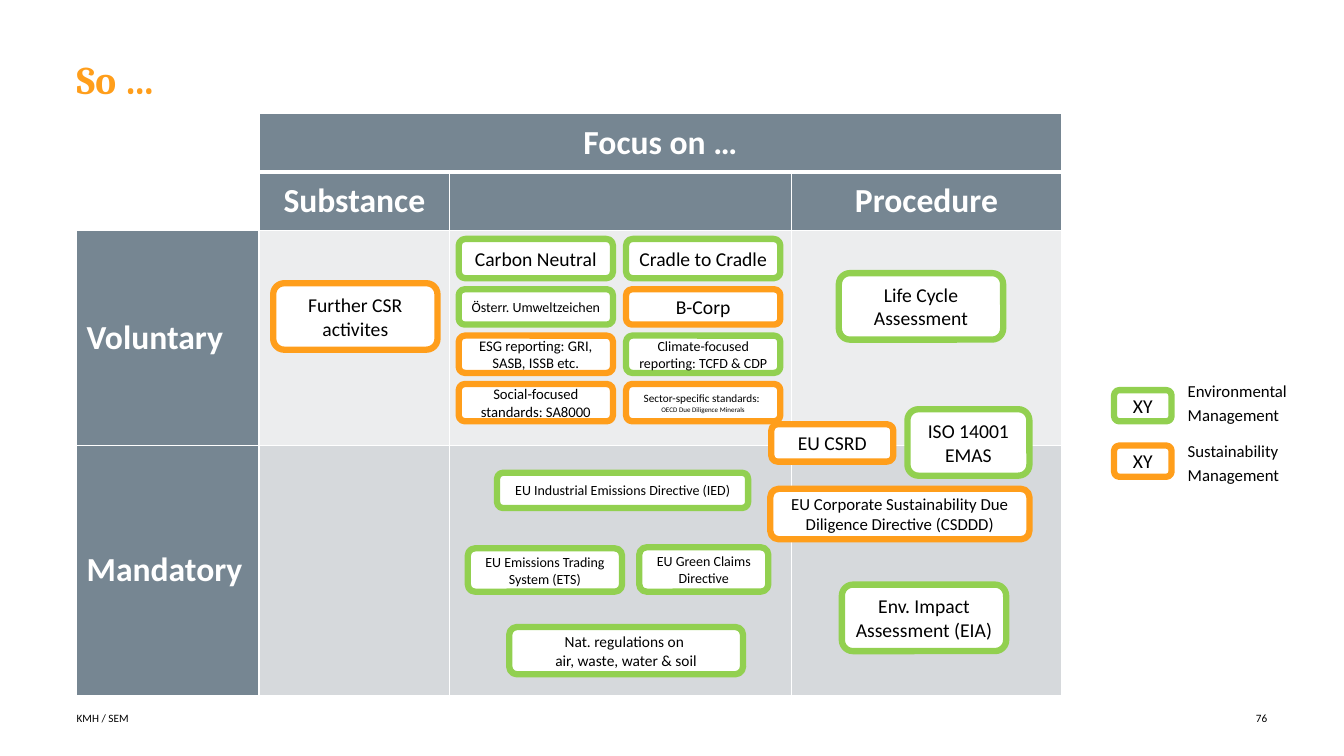
"""Build a slide sorting sustainability schemes by focus and obligation."""
from typing import NamedTuple

from lxml import etree
from pptx import Presentation
from pptx.dml.color import RGBColor
from pptx.enum.shapes import MSO_SHAPE
from pptx.enum.text import MSO_ANCHOR, PP_ALIGN
from pptx.oxml.ns import qn
from pptx.util import Inches, Pt

ROUND = MSO_SHAPE.ROUNDED_RECTANGLE
TOP, MIDDLE = MSO_ANCHOR.TOP, MSO_ANCHOR.MIDDLE
LEFT, CENTER, RIGHT = PP_ALIGN.LEFT, PP_ALIGN.CENTER, PP_ALIGN.RIGHT

COLORS = {
    "green": "92D050", "orange": "FF9E1B", "slate": "768692", "pale": "ECEDEE",
    "grey": "D6D9DC", "white": "FFFFFF", "black": "000000",
}


class Box(NamedTuple):
    left: float
    top: float
    width: float
    height: float
    color: str
    size: float
    text: str
    small: str = ""


class Label(NamedTuple):
    left: float
    top: float
    width: float
    height: float
    lines: list[str]
    size: float
    color: str = "black"
    face: str = "Calibri"
    bold: bool = False
    align: PP_ALIGN = LEFT
    anchor: MSO_ANCHOR = MIDDLE
    space: float = 1.0


class Tier(NamedTuple):
    top: float
    height: float
    cells: list[tuple]


LABELS = [
    Label(0.76, 0.6, 9.76, 0.87, ["So …"], 28, "orange", "Cambria", True,
          anchor=TOP, space=0.9),
    Label(0.76, 7.04, 5.59, 0.16, ["KMH / SEM"], 8),
    Label(12.02, 7.04, 0.55, 0.16, ["76"], 8, align=RIGHT),
    Label(11.78, 3.74, 1.34, 1.07,
          ["Environmental Management", "Sustainability Management"], 12,
          anchor=TOP, space=1.2),
]

TIERS = [
    Tier(2.37, 0.39, [("green", 14, "Carbon Neutral"),
                      ("green", 14, "Cradle to Cradle")]),
    Tier(2.87, 0.35, [("green", 10, "Österr. Umweltzeichen"),
                      ("orange", 14, "B-Corp")]),
    Tier(3.33, 0.37, [("orange", 10.5, "ESG reporting: GRI, SASB, ISSB etc."),
                      ("green", 10, "Climate-focused reporting: TCFD & CDP")]),
    Tier(3.81, 0.37, [("orange", 10.5, "Social-focused standards: SA8000"),
                      ("orange", 8, "Sector-specific standards: ",
                       "OECD Due Diligence Minerals")]),
]

BOXES = [
    Box(2.71, 2.81, 1.63, 0.66, "orange", 14, "Further CSR activites"),
    Box(8.32, 2.71, 1.63, 0.66, "green", 14, "Life Cycle Assessment"),
    Box(8.35, 5.8, 1.63, 0.66, "green", 14, "Env. Impact Assessment (EIA)"),
    Box(9, 4.06, 1.21, 0.66, "green", 14, "ISO 14001 EMAS"),
    Box(7.65, 4.21, 1.21, 0.37, "orange", 14, "EU CSRD"),
    Box(7.64, 4.85, 2.57, 0.5, "orange", 12,
        "EU Corporate Sustainability Due Diligence Directive (CSDDD)"),
    Box(4.93, 4.69, 2.49, 0.35, "green", 10,
        "EU Industrial Emissions Directive (IED)"),
    Box(4.64, 5.44, 1.53, 0.43, "green", 10, "EU Emissions Trading System (ETS)"),
    Box(6.34, 5.43, 1.28, 0.44, "green", 10, "EU Green Claims Directive"),
    Box(5.05, 6.22, 2.32, 0.47, "green", 11,
        "Nat. regulations on \nair, waste, water & soil"),
    Box(11.05, 3.87, 0.57, 0.31, "green", 14, "XY"),
    Box(11.05, 4.42, 0.57, 0.31, "orange", 14, "XY"),
] + [
    Box(left, tier.top, 1.53, tier.height, *cell)
    for tier in TIERS
    for left, cell in zip((4.55, 6.21), tier.cells)
]

WIDTHS = [1.81, 1.89, 3.39, 2.68]
HEIGHTS = [0.58, 0.58, 2.13, 2.48]
WORDS = [
    ["", "Focus on …", "", ""],
    ["", "Substance", "", "Procedure"],
    ["Voluntary", "", "", ""],
    ["Mandatory", "", "", ""],
]
FILLS = [("white", "slate"), ("white", "slate"), ("slate", "pale"), ("slate", "grey")]


def tint(name: str) -> RGBColor:
    return RGBColor.from_string(COLORS[name])


def style(para, size: float, color: str = "black", face: str = "Calibri",
          bold: bool = False, align: PP_ALIGN = CENTER) -> None:
    para.alignment = align
    font = para.font
    font.size, font.name, font.bold = Pt(size), face, bold
    font.color.rgb = tint(color)


def add_label(slide, item: Label) -> None:
    shape = slide.shapes.add_textbox(*map(Inches, item[:4]))
    frame = shape.text_frame
    frame.word_wrap = True
    frame.vertical_anchor = item.anchor
    frame.margin_left = frame.margin_right = 0
    frame.margin_top = frame.margin_bottom = 0
    for i, line in enumerate(item.lines):
        para = frame.add_paragraph() if i else frame.paragraphs[0]
        para.text = line
        para.line_spacing = item.space
        if i:
            para.space_before = Pt(8)
        style(para, item.size, item.color, item.face, item.bold, item.align)


def add_box(slide, item: Box) -> None:
    shape = slide.shapes.add_shape(ROUND, *map(Inches, item[:4]))
    shape.shadow.inherit = False
    shape.fill.solid()
    shape.fill.fore_color.rgb = tint("white")
    shape.line.color.rgb = tint(item.color)
    shape.line.width = Pt(4.5)
    frame = shape.text_frame
    frame.word_wrap = True
    frame.vertical_anchor = MIDDLE
    para = frame.paragraphs[0]
    para.text = item.text
    if item.small:
        para.add_line_break()
        run = para.add_run()
        run.text = item.small
        run.font.size = Pt(5)
    style(para, item.size)


def add_edge(cell, side: str, width: float) -> None:
    props = cell._tc.get_or_add_tcPr()
    line = etree.SubElement(props, qn(f"a:ln{side}"), w=str(Pt(width)))
    fill = etree.SubElement(line, qn("a:solidFill"))
    etree.SubElement(fill, qn("a:srgbClr"), val=COLORS["white"])


def add_grid(slide) -> None:
    frame = slide.shapes.add_table(
        len(HEIGHTS), len(WIDTHS), Inches(0.76), Inches(1.13),
        Inches(sum(WIDTHS)), Inches(sum(HEIGHTS)))
    table = frame.table
    for col, width in zip(table.columns, WIDTHS):
        col.width = Inches(width)
    for row, height in zip(table.rows, HEIGHTS):
        row.height = Inches(height)
    for r, words in enumerate(WORDS):
        for c, word in enumerate(words):
            cell = table.cell(r, c)
            for side in "LRTB":
                thick = (r, side) in ((0, "B"), (1, "T"))
                add_edge(cell, side, 3 if thick else 1)
            cell.fill.solid()
            cell.fill.fore_color.rgb = tint(FILLS[r][c > 0])
            cell.vertical_anchor = MIDDLE
            if word:
                para = cell.text_frame.paragraphs[0]
                para.text = word
                style(para, 24, "white", bold=True, align=CENTER if c else LEFT)
    table.cell(0, 1).merge(table.cell(0, 3))


def main() -> None:
    deck = Presentation()
    deck.slide_width, deck.slide_height = Inches(13.33), Inches(7.5)
    slide = deck.slides.add_slide(deck.slide_layouts[6])
    add_grid(slide)
    for item in LABELS:
        add_label(slide, item)
    for item in BOXES:
        add_box(slide, item)
    deck.save("out.pptx")


if __name__ == "__main__":
    main()
